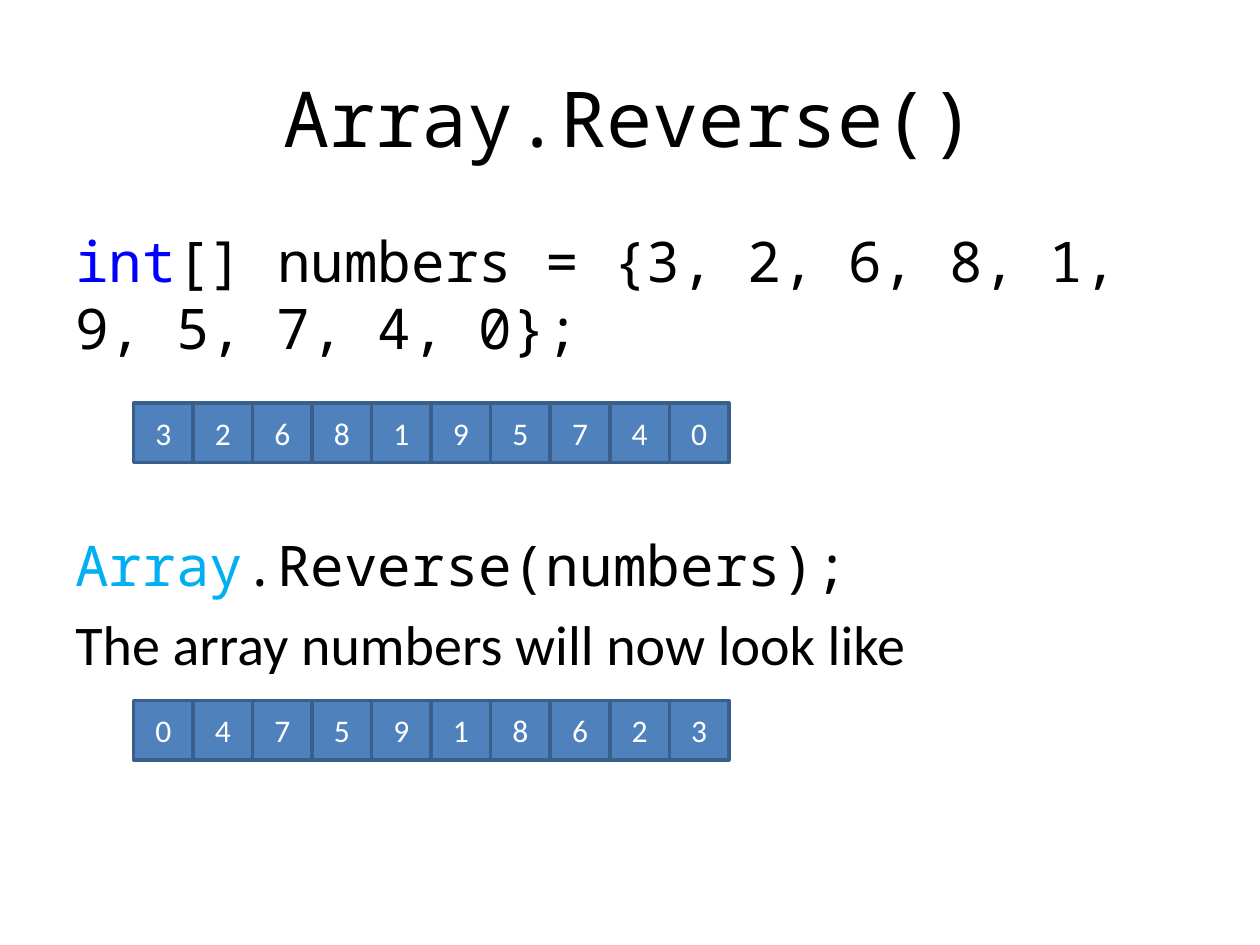
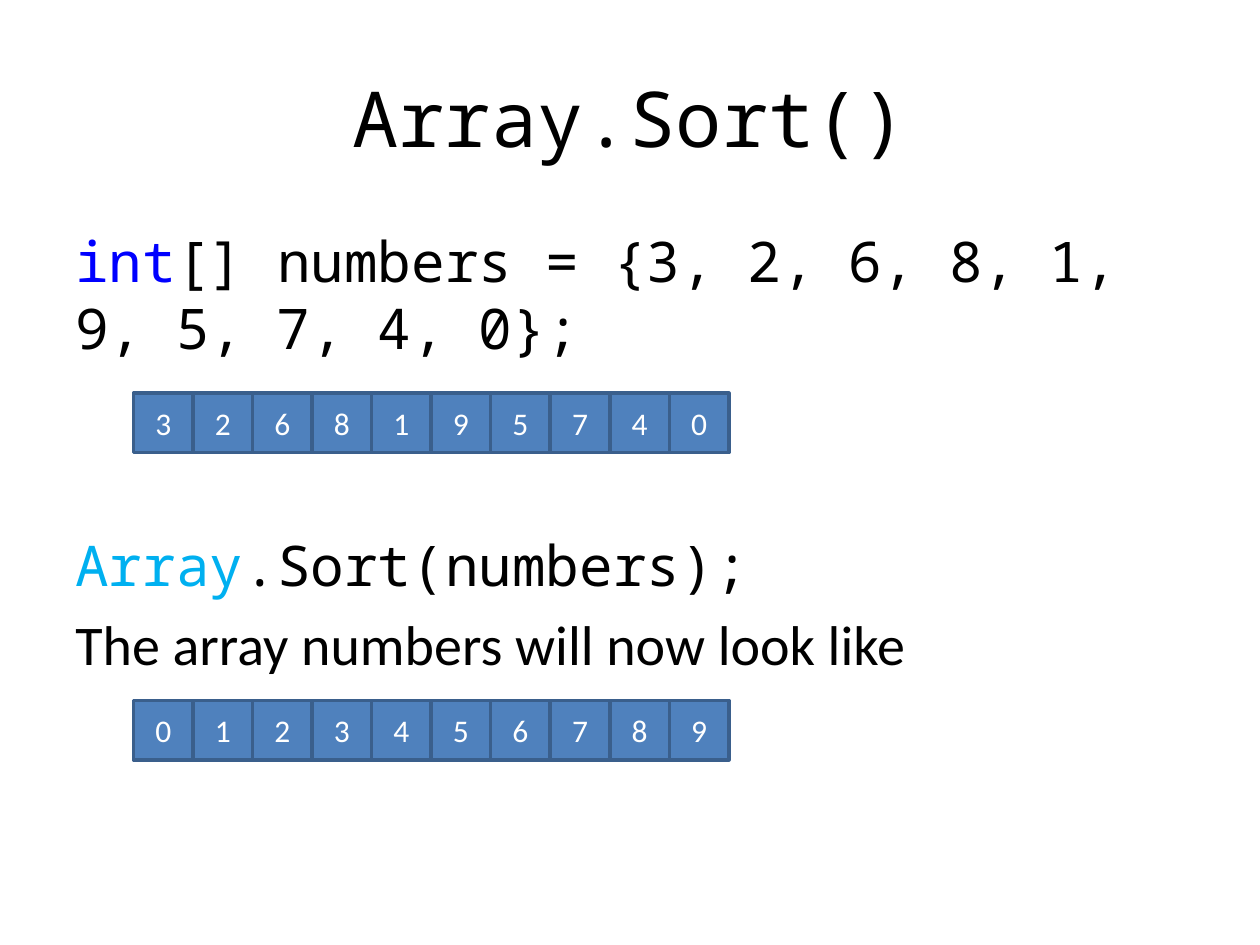
import pptx
import pptx.util
import pptx.dml.color
import pptx.enum.shapes
import pptx.enum.text
from dataclasses import dataclass

NUMBERS = [3, 2, 6, 8, 1, 9, 5, 7, 4, 0]
DECLARATION = "[] numbers = {" + ", ".join(map(str, NUMBERS)) + "};"
SLIDES = [
    {"method": "Reverse", "result": NUMBERS[::-1], "array_top": 3.2},
    {"method": "Sort", "result": sorted(NUMBERS), "array_top": 3.12},
]
RESULT_TOP = 5.56


@dataclass(frozen=True)
class Theme:
    code_font: str = "Noto Sans Mono"
    text_font: str = "Calibri"
    title_size: float = 44
    body_size: float = 32
    cell_size: float = 18
    text: str = "000000"
    keyword: str = "0000FF"
    class_name: str = "00B0F0"
    cell_fill: str = "4F81BD"
    cell_line: str = "3A5F8C"
    cell_text: str = "FFFFFF"
    line_width: float = 2
    paragraph_gap: float = 6.4
    array_gap: float = 97


THEME = Theme()
WIDTH, HEIGHT = 10, 7.5
MARGIN = WIDTH * 0.05
TITLE_BOX = (MARGIN, HEIGHT * 0.04, WIDTH * 0.9, 1.25)
BODY_BOX = (MARGIN, 1.75, WIDTH * 0.9, HEIGHT * 0.66)
ARRAY_LEFT = 1.06
CELL = 4.725 / len(NUMBERS)


def inches(values):
    return [pptx.util.Inches(value) for value in values]


def color(value):
    return pptx.dml.color.RGBColor.from_string(value)


def format_run(run, font, size, run_color):
    run.font.name = font
    run.font.size = pptx.util.Pt(size)
    run.font.color.rgb = color(run_color)


def add_title(slide, text):
    title = slide.shapes.title
    title.left, title.top, title.width, title.height = inches(TITLE_BOX)
    frame = title.text_frame
    frame.text = text
    frame.vertical_anchor = pptx.enum.text.MSO_ANCHOR.MIDDLE
    frame.paragraphs[0].alignment = pptx.enum.text.PP_ALIGN.CENTER
    format_run(frame.paragraphs[0].runs[0], THEME.code_font, THEME.title_size, THEME.text)


def add_body(slide, method):
    lines = [
        (THEME.paragraph_gap, THEME.code_font,
         [("int", THEME.keyword), (DECLARATION, THEME.text)]),
        (THEME.array_gap, THEME.code_font,
         [("Array", THEME.class_name), (f".{method}(numbers);", THEME.text)]),
        (THEME.paragraph_gap, THEME.text_font,
         [("The array numbers will now look like", THEME.text)]),
    ]
    frame = slide.shapes.add_textbox(*inches(BODY_BOX)).text_frame
    frame.word_wrap = True
    for index, (gap, font, parts) in enumerate(lines):
        paragraph = frame.add_paragraph() if index else frame.paragraphs[0]
        paragraph.space_before = pptx.util.Pt(gap)
        for text, part_color in parts:
            run = paragraph.add_run()
            run.text = text
            format_run(run, font, THEME.body_size, part_color)


def add_array(slide, values, top):
    group = slide.shapes.add_group_shape()
    for column, value in enumerate(values):
        cell = group.shapes.add_shape(
            pptx.enum.shapes.MSO_SHAPE.RECTANGLE,
            *inches((ARRAY_LEFT + column * CELL, top, CELL, CELL)))
        cell.shadow.inherit = False
        cell.fill.solid()
        cell.fill.fore_color.rgb = color(THEME.cell_fill)
        cell.line.color.rgb = color(THEME.cell_line)
        cell.line.width = pptx.util.Pt(THEME.line_width)
        frame = cell.text_frame
        frame.text = str(value)
        frame.vertical_anchor = pptx.enum.text.MSO_ANCHOR.MIDDLE
        frame.paragraphs[0].alignment = pptx.enum.text.PP_ALIGN.CENTER
        format_run(frame.paragraphs[0].runs[0], THEME.text_font, THEME.cell_size, THEME.cell_text)


presentation = pptx.Presentation()
presentation.slide_width, presentation.slide_height = inches((WIDTH, HEIGHT))
title_only = presentation.slide_layouts[5]
for content in SLIDES:
    slide = presentation.slides.add_slide(title_only)
    add_title(slide, f"Array.{content['method']}()")
    add_body(slide, content["method"])
    add_array(slide, NUMBERS, content["array_top"])
    add_array(slide, content["result"], RESULT_TOP)
presentation.save("out.pptx")
